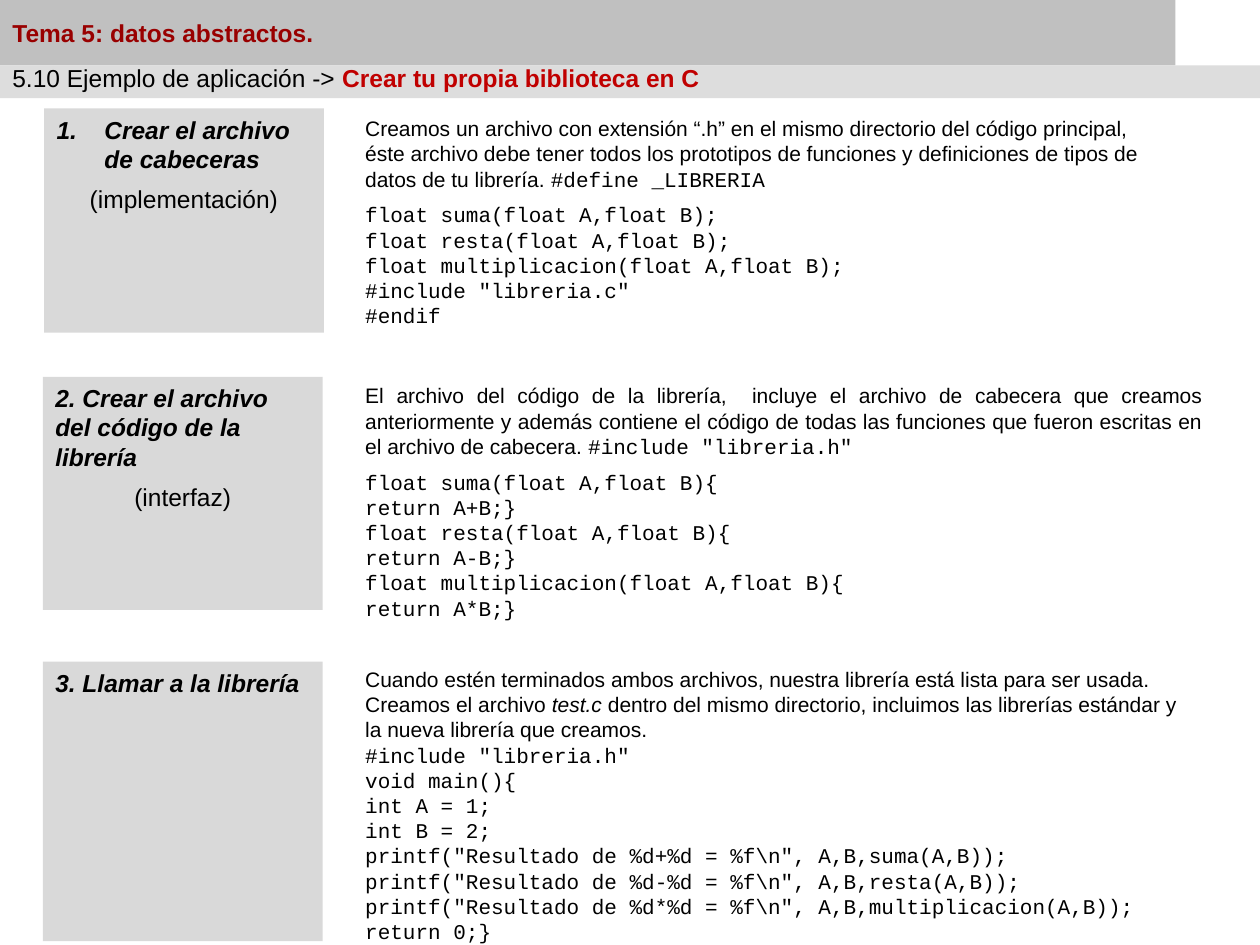
import pptx
import pptx.dml.color
import pptx.enum.shapes
import pptx.enum.text
import pptx.util
from lxml import etree
from pptx.util import Inches

ALIGN = pptx.enum.text.PP_ALIGN
ANCHOR = pptx.enum.text.MSO_ANCHOR
CODE = {"font": "Courier New"}
HEADING = {"bold": True, "italic": True}

TITLE = "Tema 5: datos abstractos."
SUBTITLE = [
    ("5.10 Ejemplo de aplicación -> ", {}),
    ("Crear tu propia biblioteca en C", {"bold": True, "color": "C00000"}),
]
STEPS = [
    {
        "card": (0.35, 0.86, 2.22, 1.78),
        "heading": "Crear el archivo de cabeceras",
        "number": "1.",
        "note": "(implementación)",
        "body": (2.8, 0.87, 6.49, 1.64),
        "intro": [
            ("Creamos un archivo con extensión “.h” en el mismo directorio del código principal, "
             "éste archivo debe tener todos los prototipos de funciones y definiciones de tipos de "
             "datos de tu librería. ", {}),
            ("#define _LIBRERIA", CODE),
        ],
        "format": {"after": 6},
        "code": [
            "float suma(float A,float B);",
            "float resta(float A,float B);",
            "float multiplicacion(float A,float B);",
            "#include ″libreria.c″",
            "#endif",
        ],
    },
    {
        "card": (0.34, 2.99, 2.22, 1.85),
        "heading": "2. Crear el archivo del código de la librería",
        "note": "(interfaz)",
        "body": (2.8, 2.99, 6.85, 2.2),
        "intro": [
            ("El archivo del código de la librería,  incluye el archivo de cabecera que creamos "
             "anteriormente y además contiene el código de todas las funciones que fueron escritas "
             "en el archivo de cabecera. ", {}),
            ("#include ″libreria.h″", CODE),
        ],
        "format": {"after": 6, "align": ALIGN.JUSTIFY},
        "code": [
            "float suma(float A,float B){",
            "return A+B;}",
            "float resta(float A,float B){",
            "return A-B;}",
            "float multiplicacion(float A,float B){",
            "return A*B;}",
        ],
    },
    {
        "card": (0.34, 5.25, 2.22, 2.22),
        "heading": "3. Llamar a la librería",
        "body": (2.8, 5.24, 6.81, 2.32),
        "intro": [
            ("Cuando estén terminados ambos archivos, nuestra librería está lista para ser usada. "
             "Creamos el archivo ", {}),
            ("test.c", {"italic": True}),
            (" dentro del mismo directorio, incluimos las librerías estándar y la nueva librería "
             "que creamos.", {}),
        ],
        "format": {},
        "code": [
            "#include ″libreria.h″",
            "void main(){",
            "int A = 1;",
            "int B = 2;",
            "printf(″Resultado de %d+%d = %f\\n″, A,B,suma(A,B));",
            "printf(″Resultado de %d-%d = %f\\n″, A,B,resta(A,B));",
            "printf(″Resultado de %d*%d = %f\\n″, A,B,multiplicacion(A,B));",
            "return 0;}",
        ],
    },
]


def rgb(value):
    """Turn a hex string into a colour."""
    return pptx.dml.color.RGBColor.from_string(value)


def add_band(page, place, fill, anchor=ANCHOR.TOP):
    """Add a filled rectangle without outline or shadow."""
    box = page.shapes.add_shape(pptx.enum.shapes.MSO_SHAPE.RECTANGLE, *map(Inches, place))
    box.shadow.inherit = False
    box.fill.solid()
    box.fill.fore_color.rgb = rgb(fill)
    box.line.fill.background()
    box.text_frame.word_wrap = True
    box.text_frame.vertical_anchor = anchor
    return box


def write(box, text, size=14, font="Arial", color="000000", bold=False, italic=False,
          align=ALIGN.LEFT, after=0, spacing=None):
    """Append a paragraph given as a string or as (string, format) spans."""
    frame = box.text_frame
    para = frame.paragraphs[0] if not frame.text else frame.add_paragraph()
    para.alignment = align
    para.space_after = pptx.util.Pt(after)
    para.line_spacing = spacing
    base = {"font": font, "color": color, "bold": bold, "italic": italic}
    for words, changes in [(text, {})] if isinstance(text, str) else text:
        style = base | changes
        span = para.add_run()
        span.text = words
        span.font.size = pptx.util.Pt(size)
        span.font.name = style["font"]
        span.font.color.rgb = rgb(style["color"])
        span.font.bold = style["bold"]
        span.font.italic = style["italic"]
    return para


def number_paragraph(para, indent):
    """Give a paragraph an automatic number with a hanging indent."""
    properties = para._p.get_or_add_pPr()
    properties.set("marL", str(Inches(indent)))
    properties.set("indent", str(-Inches(indent)))
    namespace = pptx.oxml.ns.qn("a:buFont")
    etree.SubElement(properties, namespace, typeface="+mj-lt")
    etree.SubElement(properties, pptx.oxml.ns.qn("a:buAutoNum"), type="arabicPeriod")


def add_step(page, step):
    """Add the card of a step and its explanation with code."""
    body = page.shapes.add_textbox(*map(Inches, step["body"]))
    body.text_frame.word_wrap = True
    write(body, step["intro"], size=12, **step["format"])
    for line in step["code"]:
        write(body, line, size=12, **CODE)

    card = add_band(page, step["card"], "D9D9D9")
    heading = write(card, step["heading"], after=6, **HEADING)
    if "number" in step:
        number_paragraph(heading, 0.38)
    if "note" in step:
        write(card, step["note"], align=ALIGN.CENTER, after=6)


def main():
    """Build the slide and save it."""
    deck = pptx.Presentation()
    deck.slide_width, deck.slide_height = Inches(10), Inches(7.5)
    page = deck.slides.add_slide(deck.slide_layouts[6])
    title = add_band(page, (0, 0, 9.33, 0.52), "C0C0C0", ANCHOR.MIDDLE)
    write(title, TITLE, color="990000", bold=True, align=ALIGN.JUSTIFY, after=6)
    subtitle = add_band(page, (0, 0.52, 10, 0.26), "DDDDDD")
    write(subtitle, SUBTITLE, spacing=0.66)
    for step in STEPS:
        add_step(page, step)
    deck.save("out.pptx")


if __name__ == "__main__":
    main()
